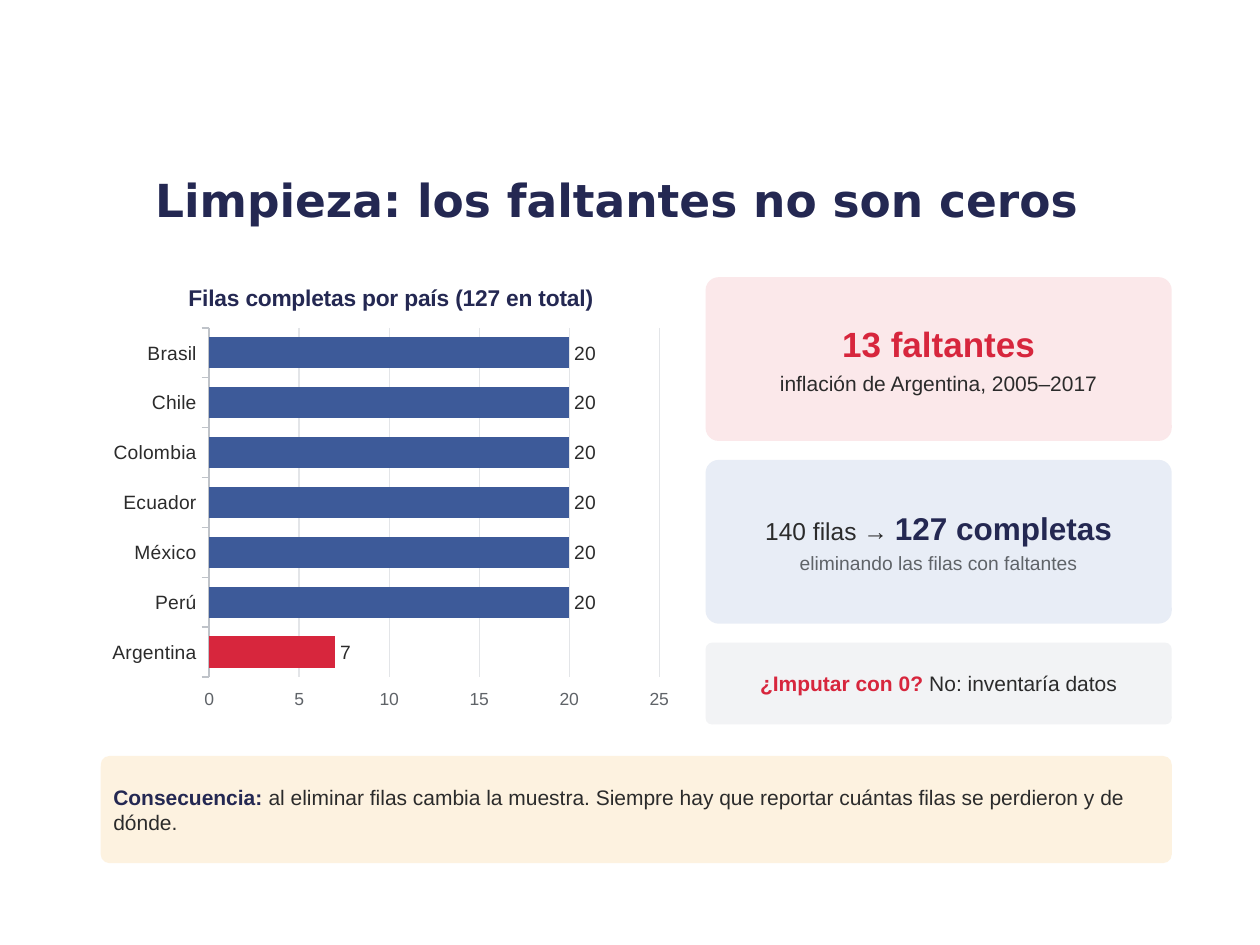
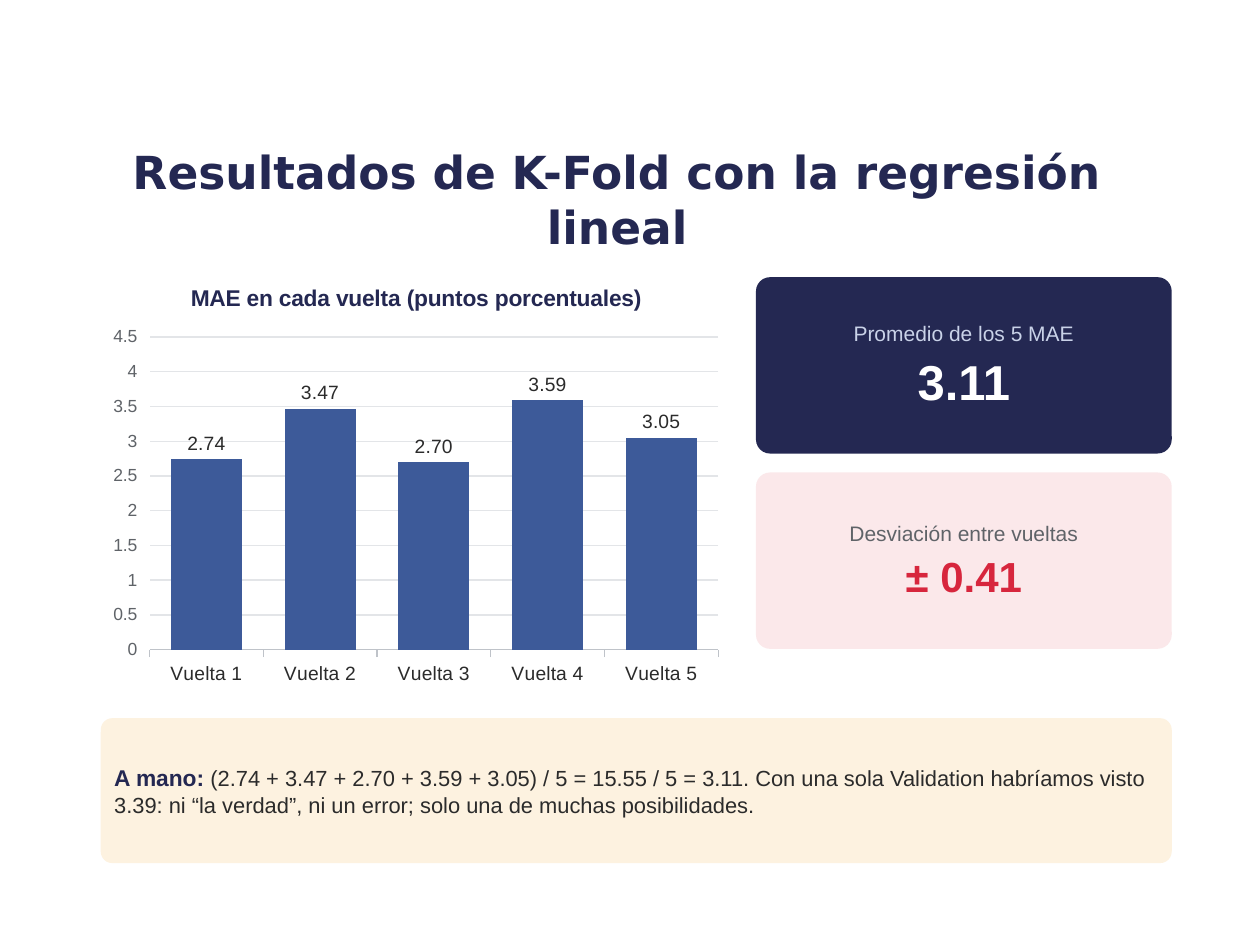
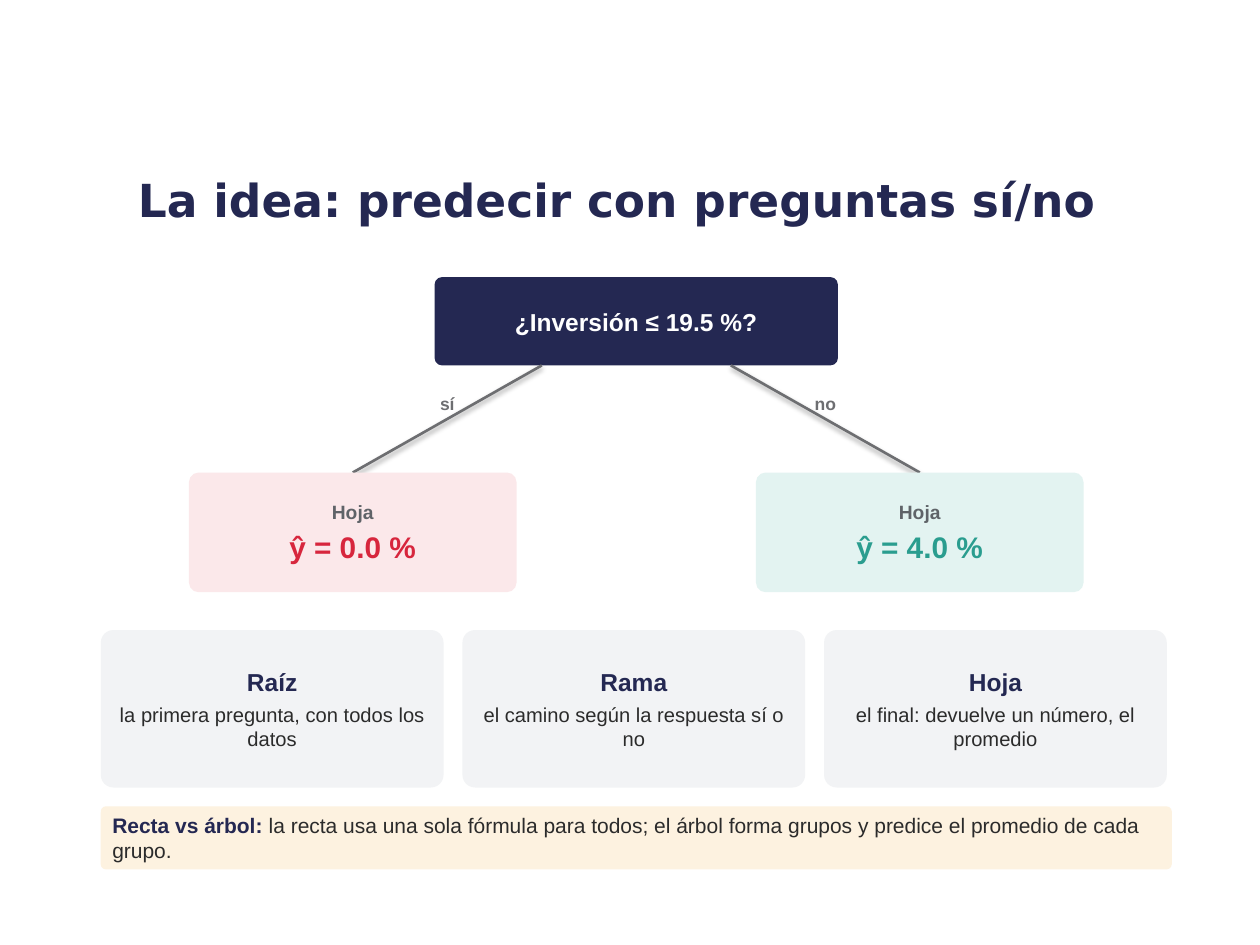
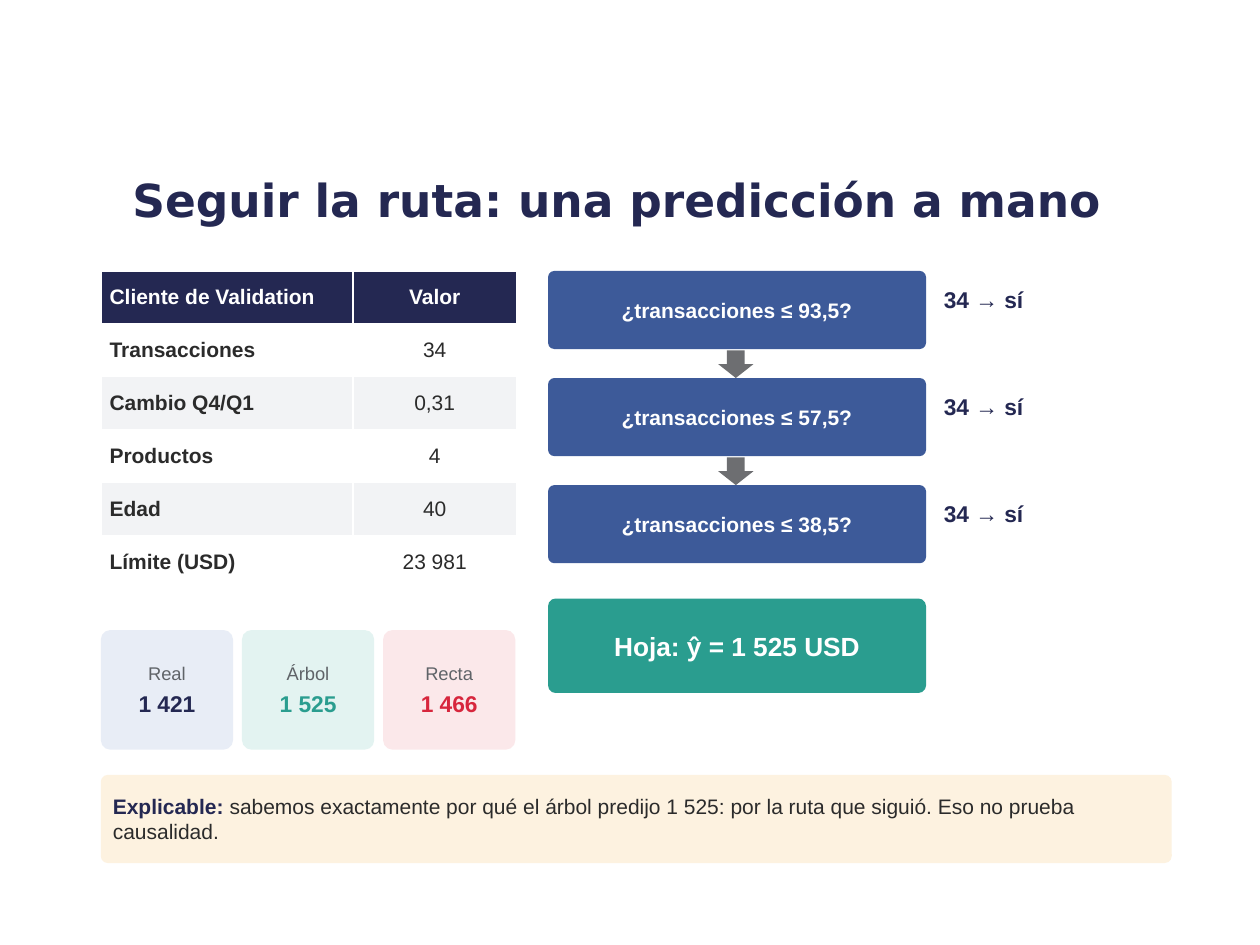
from dataclasses import dataclass
from typing import NamedTuple, Optional

from pptx import Presentation
from pptx.chart.data import CategoryChartData
from pptx.dml.color import RGBColor
from pptx.enum.chart import XL_CHART_TYPE, XL_LABEL_POSITION, XL_TICK_LABEL_POSITION, XL_TICK_MARK
from pptx.enum.shapes import MSO_CONNECTOR, MSO_SHAPE
from pptx.enum.text import MSO_ANCHOR, MSO_AUTO_SIZE, PP_ALIGN
from pptx.util import Emu, Pt

PX = 9144


@dataclass(frozen=True)
class Theme:
    font: str = "Arial"
    title_font: str = "DejaVu Sans"
    white: str = "FFFFFF"
    navy: str = "242852"
    blue: str = "3D5A99"
    red: str = "D7263D"
    green: str = "2A9D8F"
    ink: str = "2B2B2B"
    muted: str = "5F6368"
    line: str = "6D6E71"
    axis: str = "BFC3C9"
    grid: str = "E3E5E8"
    ice: str = "C9D2E8"
    pale_red: str = "FBE8EA"
    pale_blue: str = "E8EDF6"
    pale_green: str = "E3F3F1"
    pale_gray: str = "F2F3F5"
    cream: str = "FDF2E0"
    title: float = 26
    hero: float = 28
    figure: float = 24
    large: float = 20
    strong: float = 18
    leaf: float = 17
    result: float = 15
    head: float = 14
    sub: float = 13
    note: float = 12.5
    body: float = 12
    detail: float = 11.5
    small: float = 11
    caption: float = 10.5
    tiny: float = 10


T = Theme()


class Box(NamedTuple):
    x: int
    y: int
    w: int
    h: int

    def emu(self) -> tuple:
        return tuple(Emu(v * PX) for v in self)


class Run(NamedTuple):
    text: str
    size: float
    color: str
    bold: bool = False


@dataclass(frozen=True)
class Card:
    box: Box
    fill: str
    paras: list[list[Run]]
    inset: int = 8
    align: PP_ALIGN = PP_ALIGN.CENTER


@dataclass(frozen=True)
class Bars:
    box: Box
    kind: XL_CHART_TYPE
    title: str
    values: dict[str, float]
    top: float
    number_format: str
    accent: Optional[str] = None


def rgb(color: str) -> RGBColor:
    return RGBColor.from_string(color)


def set_font(font, size: float, color: str, bold: bool = False, name: str = T.font) -> None:
    font.name = name
    font.size = Pt(size)
    font.bold = bold
    font.color.rgb = rgb(color)


def write(tf, paras: list[list[Run]], align: PP_ALIGN, after: int = 0, name: str = T.font) -> None:
    for i, runs in enumerate(paras):
        p = tf.paragraphs[0] if i == 0 else tf.add_paragraph()
        p.alignment = align
        if after:
            p.space_after = Pt(after)
        for run in runs:
            r = p.add_run()
            r.text = run.text
            set_font(r.font, run.size, run.color, run.bold, name)


def set_frame(tf, inset_x: int, inset_y: int, anchor: MSO_ANCHOR) -> None:
    tf.word_wrap = True
    tf.vertical_anchor = anchor
    tf.margin_left = tf.margin_right = Emu(inset_x * PX)
    tf.margin_top = tf.margin_bottom = Emu(inset_y * PX)


def add_title(s, text: str) -> None:
    tf = s.shapes.add_textbox(*Box(75, 118, 830, 80).emu()).text_frame
    set_frame(tf, 10, 5, MSO_ANCHOR.MIDDLE)
    write(tf, [[Run(text, T.title, T.navy, True)]], PP_ALIGN.CENTER, name=T.title_font)


def add_filled(s, kind: MSO_SHAPE, box: Box, fill: str):
    sp = s.shapes.add_shape(kind, *box.emu())
    sp.shadow.inherit = False
    sp.fill.solid()
    sp.fill.fore_color.rgb = rgb(fill)
    sp.line.fill.background()
    return sp


def add_card(s, card: Card) -> None:
    sp = add_filled(s, MSO_SHAPE.ROUNDED_RECTANGLE, card.box, card.fill)
    sp.adjustments[0] = 0.08
    set_frame(sp.text_frame, card.inset, card.inset, MSO_ANCHOR.MIDDLE)
    write(sp.text_frame, card.paras, card.align, after=3)


def add_takeaway(s, y: int, h: int, lead: str, text: str,
                 lead_size: float = T.body, size: float = T.body) -> None:
    runs = [Run(lead, lead_size, T.navy, True), Run(text, size, T.ink)]
    add_card(s, Card(Box(80, y, 850, h), T.cream, [runs], align=PP_ALIGN.LEFT))


def add_label(s, box: Box, run: Run, inset: int, align: PP_ALIGN) -> None:
    tf = s.shapes.add_textbox(*box.emu()).text_frame
    set_frame(tf, inset, inset, MSO_ANCHOR.TOP)
    tf.auto_size = MSO_AUTO_SIZE.SHAPE_TO_FIT_TEXT
    write(tf, [[run]], align, after=4)


def add_bars(s, bars: Bars) -> None:
    data = CategoryChartData()
    data.categories = list(bars.values)
    data.add_series("Series 1", list(bars.values.values()))
    chart = s.shapes.add_chart(bars.kind, *bars.box.emu(), data).chart
    set_font(chart.font, T.small, T.ink)
    chart.has_legend = False
    chart.has_title = True
    chart.chart_title.include_in_layout = False
    write(chart.chart_title.text_frame, [[Run(bars.title, T.sub, T.navy, True)]], PP_ALIGN.CENTER)

    cat = chart.category_axis
    cat.tick_label_position = XL_TICK_LABEL_POSITION.LOW
    cat.major_tick_mark = XL_TICK_MARK.OUTSIDE
    cat.has_major_gridlines = False
    set_font(cat.tick_labels.font, T.small, T.ink)
    cat.format.line.color.rgb = rgb(T.axis)
    cat.format.line.width = Pt(0.75)

    val = chart.value_axis
    val.minimum_scale = 0
    val.maximum_scale = bars.top
    val.major_tick_mark = XL_TICK_MARK.OUTSIDE
    set_font(val.tick_labels.font, T.tiny, T.muted)
    val.format.line.fill.background()
    val.major_gridlines.format.line.color.rgb = rgb(T.grid)
    val.major_gridlines.format.line.width = Pt(0.75)

    plot = chart.plots[0]
    plot.gap_width = 60
    plot.vary_by_categories = False
    plot.has_data_labels = True
    labels = plot.data_labels
    labels.show_value = True
    labels.position = XL_LABEL_POSITION.OUTSIDE_END
    labels.number_format = bars.number_format
    labels.number_format_is_linked = False
    set_font(labels.font, T.small, T.ink)
    series = plot.series[0]
    series.invert_if_negative = False
    series.format.fill.solid()
    series.format.fill.fore_color.rgb = rgb(T.blue)
    if bars.accent:
        fill = series.points[list(bars.values).index(bars.accent)].format.fill
        fill.solid()
        fill.fore_color.rgb = rgb(T.red)


def add_client_table(s, rows: list[tuple[str, str]]) -> None:
    widths = (200, 130)
    row_h = 42
    box = Box(80, 215, sum(widths), row_h * len(rows))
    table = s.shapes.add_table(len(rows), len(widths), *box.emu()).table
    table.horz_banding = False
    for col, width in zip(table.columns, widths):
        col.width = Emu(width * PX)
    for i, row in enumerate(rows):
        table.rows[i].height = Emu(row_h * PX)
        header = i == 0
        fill = T.navy if header else T.white if i % 2 else T.pale_gray
        for j, text in enumerate(row):
            cell = table.cell(i, j)
            cell.fill.solid()
            cell.fill.fore_color.rgb = rgb(fill)
            cell.vertical_anchor = MSO_ANCHOR.MIDDLE
            cell.margin_left = cell.margin_right = Emu(7 * PX)
            cell.margin_top = cell.margin_bottom = Emu(3 * PX)
            run = Run(text, T.body, T.white if header else T.ink, header or j == 0)
            write(cell.text_frame, [[run]], PP_ALIGN.CENTER if j else PP_ALIGN.LEFT)


def add_branch(s, x1: int, x2: int, label_x: int, answer: str) -> None:
    ends = (Emu(v * PX) for v in (x1, 290, x2, 375))
    branch = s.shapes.add_connector(MSO_CONNECTOR.STRAIGHT, *ends)
    branch.line.color.rgb = rgb(T.line)
    branch.line.width = Pt(1.5)
    add_label(s, Box(label_x, 312, 70, 30), Run(answer, T.tiny, T.line, True), 0, PP_ALIGN.CENTER)


def build_cleaning(s) -> None:
    add_title(s, "Limpieza: los faltantes no son ceros")
    full = ("Perú", "México", "Ecuador", "Colombia", "Chile", "Brasil")
    add_bars(s, Bars(Box(80, 210, 460, 360), XL_CHART_TYPE.BAR_CLUSTERED,
                     "Filas completas por país (127 en total)",
                     {"Argentina": 7, **dict.fromkeys(full, 20)}, 25, "0", "Argentina"))
    add_card(s, Card(Box(560, 220, 370, 130), T.pale_red, [
        [Run("13 faltantes", T.large, T.red, True)],
        [Run("inflación de Argentina, 2005–2017", T.body, T.ink)]]))
    add_card(s, Card(Box(560, 365, 370, 130), T.pale_blue, [
        [Run("140 filas → ", T.head, T.ink), Run("127 completas", T.strong, T.navy, True)],
        [Run("eliminando las filas con faltantes", T.small, T.muted)]]))
    add_card(s, Card(Box(560, 510, 370, 65), T.pale_gray, [
        [Run("¿Imputar con 0? ", T.body, T.red, True),
         Run("No: inventaría datos", T.body, T.ink)]]))
    add_takeaway(s, 600, 85, "Consecuencia: ",
                 "al eliminar filas cambia la muestra. Siempre hay que reportar "
                 "cuántas filas se perdieron y de dónde.")


def build_kfold(s) -> None:
    add_title(s, "Resultados de K-Fold con la regresión lineal")
    errors = (2.74, 3.47, 2.70, 3.59, 3.05)
    add_bars(s, Bars(Box(80, 210, 500, 340), XL_CHART_TYPE.COLUMN_CLUSTERED,
                     "MAE en cada vuelta (puntos porcentuales)",
                     {f"Vuelta {i}": v for i, v in enumerate(errors, 1)}, 4.5, "0.00"))
    add_card(s, Card(Box(600, 220, 330, 140), T.navy, [
        [Run("Promedio de los 5 MAE", T.body, T.ice)],
        [Run("3.11", T.hero, T.white, True)]]))
    add_card(s, Card(Box(600, 375, 330, 140), T.pale_red, [
        [Run("Desviación entre vueltas", T.body, T.muted)],
        [Run("± 0.41", T.figure, T.red, True)]]))
    add_takeaway(s, 570, 115, "A mano: ",
                 "(2.74 + 3.47 + 2.70 + 3.59 + 3.05) / 5 = 15.55 / 5 = 3.11. "
                 "Con una sola Validation habríamos visto 3.39: ni “la verdad”, "
                 "ni un error; solo una de muchas posibilidades.", T.sub, T.note)


def build_tree(s) -> None:
    add_title(s, "La idea: predecir con preguntas sí/no")
    add_card(s, Card(Box(345, 220, 320, 70), T.navy,
                     [[Run("¿Inversión ≤ 19.5 %?", T.head, T.white, True)]], inset=4))
    add_branch(s, 430, 280, 320, "sí")
    add_branch(s, 580, 730, 620, "no")
    leaves = ((150, T.pale_red, "ŷ = 0.0 %", T.red), (600, T.pale_green, "ŷ = 4.0 %", T.green))
    for x, fill, value, color in leaves:
        add_card(s, Card(Box(x, 375, 260, 95), fill, [
            [Run("Hoja", T.small, T.muted, True)],
            [Run(value, T.leaf, color, True)]], inset=4))
    terms = (("Raíz", "la primera pregunta, con todos los datos"),
             ("Rama", "el camino según la respuesta sí o no"),
             ("Hoja", "el final: devuelve un número, el promedio"))
    for i, (term, meaning) in enumerate(terms):
        add_card(s, Card(Box(80 + 287 * i, 500, 272, 125), T.pale_gray, [
            [Run(term, T.head, T.navy, True)],
            [Run(meaning, T.detail, T.ink)]]))
    add_takeaway(s, 640, 50, "Recta vs árbol: ",
                 "la recta usa una sola fórmula para todos; el árbol forma grupos "
                 "y predice el promedio de cada grupo.")


def build_route(s) -> None:
    add_title(s, "Seguir la ruta: una predicción a mano")
    add_client_table(s, [
        ("Cliente de Validation", "Valor"), ("Transacciones", "34"), ("Cambio Q4/Q1", "0,31"),
        ("Productos", "4"), ("Edad", "40"), ("Límite (USD)", "23 981")])
    thresholds = ("93,5", "57,5", "38,5")
    for i, threshold in enumerate(thresholds):
        y = 215 + 85 * i
        if i:
            add_filled(s, MSO_SHAPE.DOWN_ARROW, Box(570, y - 22, 28, 22), T.line)
        add_card(s, Card(Box(435, y, 300, 62), T.blue, [
            [Run(f"¿transacciones ≤ {threshold}?", T.body, T.white, True)]]))
        add_label(s, Box(745, y + 8, 185, 50), Run("34 → sí", T.sub, T.navy, True), 4, PP_ALIGN.LEFT)
    add_card(s, Card(Box(435, 475, 300, 75), T.green,
                     [[Run("Hoja: ŷ = 1 525 USD", T.result, T.white, True)]]))
    outcomes = (("Real", "1 421", T.pale_blue, T.navy),
                ("Árbol", "1 525", T.pale_green, T.green),
                ("Recta", "1 466", T.pale_red, T.red))
    for i, (name, value, fill, color) in enumerate(outcomes):
        add_card(s, Card(Box(80 + 112 * i, 500, 105, 95), fill, [
            [Run(name, T.caption, T.muted)],
            [Run(value, T.sub, color, True)]], inset=2))
    add_takeaway(s, 615, 70, "Explicable: ",
                 "sabemos exactamente por qué el árbol predijo 1 525: por la ruta "
                 "que siguió. Eso no prueba causalidad.")


def main() -> None:
    prs = Presentation()
    prs.slide_width = Emu(1000 * PX)
    prs.slide_height = Emu(750 * PX)
    for build in (build_cleaning, build_kfold, build_tree, build_route):
        build(prs.slides.add_slide(prs.slide_layouts[6]))
    prs.save("out.pptx")


if __name__ == "__main__":
    main()
